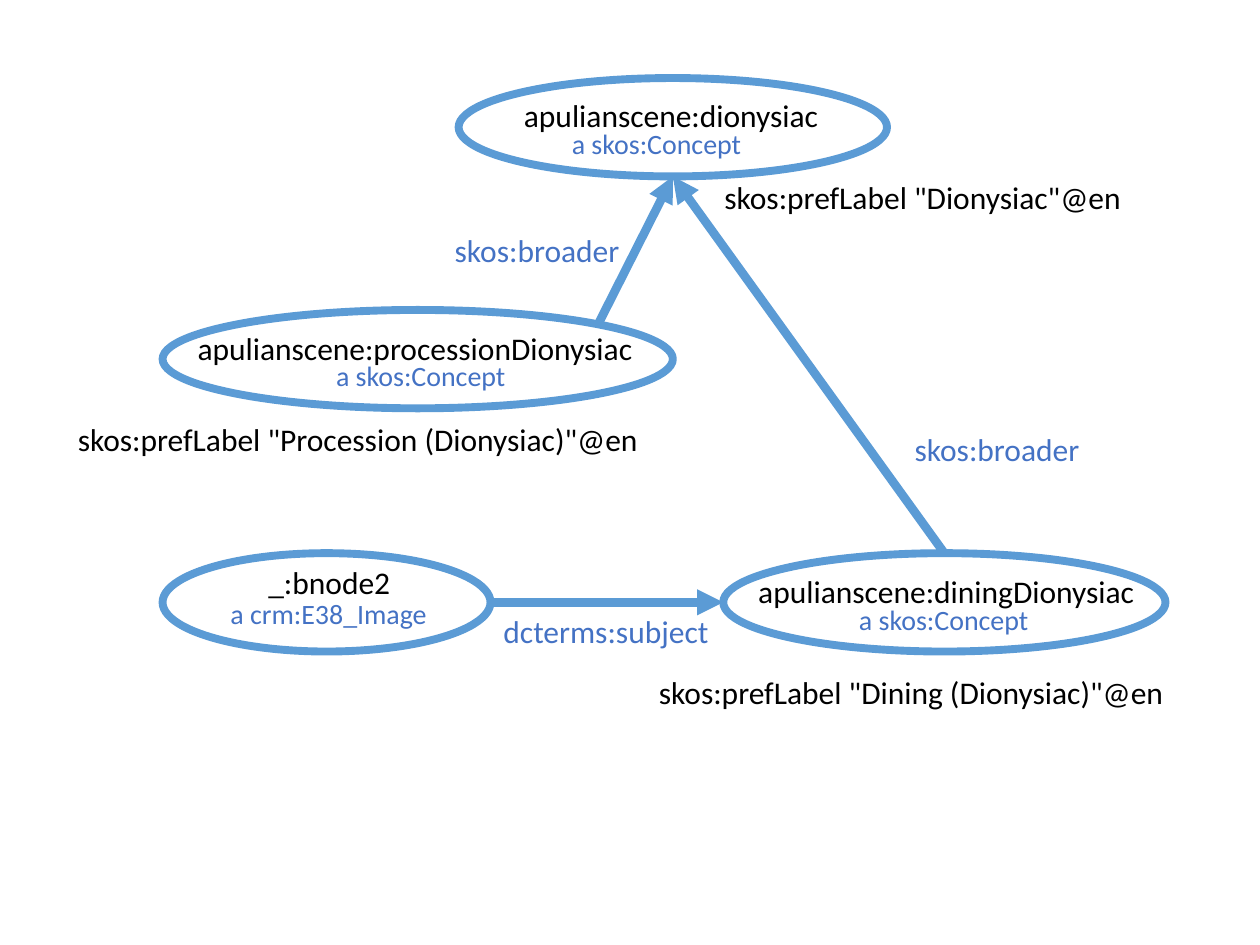
from dataclasses import dataclass
from math import cos, radians, sin

from lxml import etree
from pptx import Presentation
from pptx.dml.color import RGBColor
from pptx.enum import shapes, text
from pptx.oxml import ns
from pptx.util import Pt

BLACK = RGBColor(0x00, 0x00, 0x00)
BLUE = RGBColor(0x44, 0x72, 0xC4)
SKY = RGBColor(0x5B, 0x9B, 0xD5)
HIGH = 56.2
FRAME = {"auto_size": text.MSO_AUTO_SIZE.SHAPE_TO_FIT_TEXT}
KIND = {"size": Pt(16), "name": "Calibri"}
PLAIN = {"size": Pt(18), "name": "Calibri"}


@dataclass
class Oval:
    left: float
    top: float
    width: float

    def rim(self, angle: float) -> tuple[float, float]:
        turn = radians(angle)
        return (
            self.left + self.width / 2 * (1 + cos(turn)),
            self.top + HIGH / 2 * (1 - sin(turn)),
        )


@dataclass
class Label:
    words: str
    left: float
    top: float
    width: float
    color: RGBColor = BLACK
    form: dict | None = None
    wrap: bool = False


@dataclass
class Arrow:
    start: tuple[float, float]
    end: tuple[float, float]


def apply(item, values: dict) -> None:
    for key, value in values.items():
        setattr(item, key, value)


def draw_oval(slide, oval: Oval) -> None:
    box = [Pt(n) for n in (oval.left, oval.top, oval.width, HIGH)]
    shape = slide.shapes.add_shape(shapes.MSO_SHAPE.OVAL, *box)
    shape.shadow.inherit = False
    shape.fill.background()
    shape.line.color.rgb = SKY
    shape.line.width = Pt(4.5)


def draw_arrow(slide, arrow: Arrow) -> None:
    ends = [Pt(n) for n in (*arrow.start, *arrow.end)]
    line = slide.shapes.add_connector(shapes.MSO_CONNECTOR.STRAIGHT, *ends)
    line.line.color.rgb = SKY
    line.line.width = Pt(5)
    tip = etree.SubElement(line.line._get_or_add_ln(), ns.qn("a:tailEnd"))
    tip.set("type", "triangle")
    etree.SubElement(line._element.spPr, ns.qn("a:effectLst"))


def draw_label(slide, label: Label) -> None:
    form = label.form or PLAIN
    high = 26.6 if form is KIND else 29
    box = [Pt(n) for n in (label.left, label.top, label.width, high)]
    frame = slide.shapes.add_textbox(*box).text_frame
    apply(frame, FRAME | {"word_wrap": label.wrap})
    run = frame.paragraphs[0].add_run()
    run.text = label.words
    apply(run.font, form)
    run.font.color.rgb = label.color


def main() -> None:
    deck = Presentation()
    apply(deck, {"slide_width": Pt(720), "slide_height": Pt(540)})
    slide = deck.slides.add_slide(deck.slide_layouts[6])

    god = Oval(262.1, 44.6, 244.8)
    march = Oval(92.9, 177.1, 291.6)
    node = Oval(92.9, 316.1, 187.4)
    feast = Oval(413.3, 316.1, 252.7)
    arrows = [
        Arrow(node.rim(0), feast.rim(180)),
        Arrow(feast.rim(90), god.rim(270)),
        Arrow(march.rim(45), god.rim(270)),
    ]
    labels = [
        Label("apulianscene:dionysiac", 292.3, 51.1, 185),
        Label("apulianscene:processionDionysiac", 105.8, 184.6, 265.7),
        Label("_:bnode2", 146.2, 318.2, 85),
        Label("apulianscene:diningDionysiac", 426.2, 323.3, 231.8),
        Label('skos:prefLabel "Dionysiac"@en', 406.8, 98.2, 244.1),
        Label('skos:prefLabel "Procession (Dionysiac)"@en',
              37.4, 236.4, 341.3, wrap=True),
        Label('skos:prefLabel "Dining (Dionysiac)"@en',
              369.4, 381, 318.2, wrap=True),
        Label("skos:broader", 252.7, 128.4, 109.4, BLUE),
        Label("skos:broader", 515.5, 242, 109.4, BLUE),
        Label("dcterms:subject", 280.6, 346.3, 133.2, BLUE),
        Label("a crm:E38_Image", 124.6, 337.2, 128.2, BLUE, KIND),
    ]
    labels += [
        Label("a skos:Concept", left, top, 112.3, BLUE, KIND)
        for left, top in ((319.7, 69), (185, 201.6), (483.8, 340.6))
    ]

    for oval in (god, march, node, feast):
        draw_oval(slide, oval)
    for arrow in arrows:
        draw_arrow(slide, arrow)
    for label in labels:
        draw_label(slide, label)
    deck.save("out.pptx")


if __name__ == "__main__":
    main()
